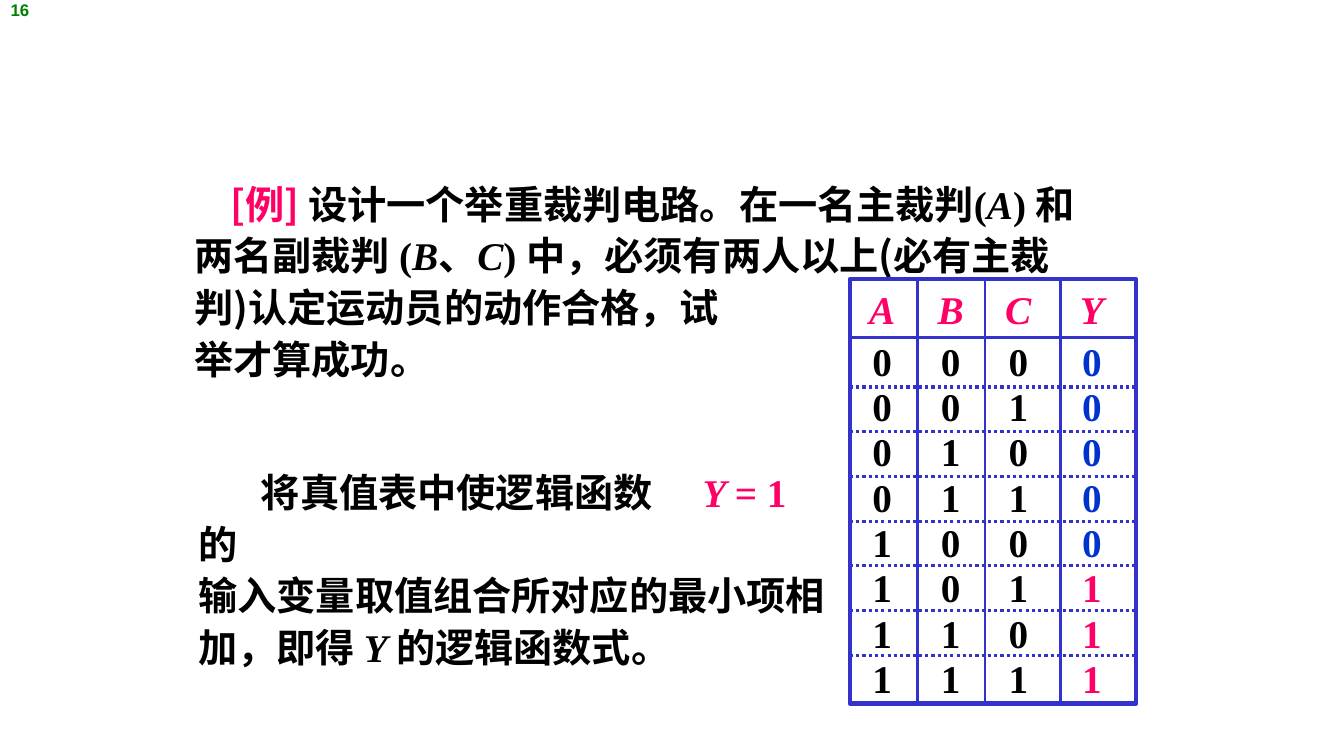
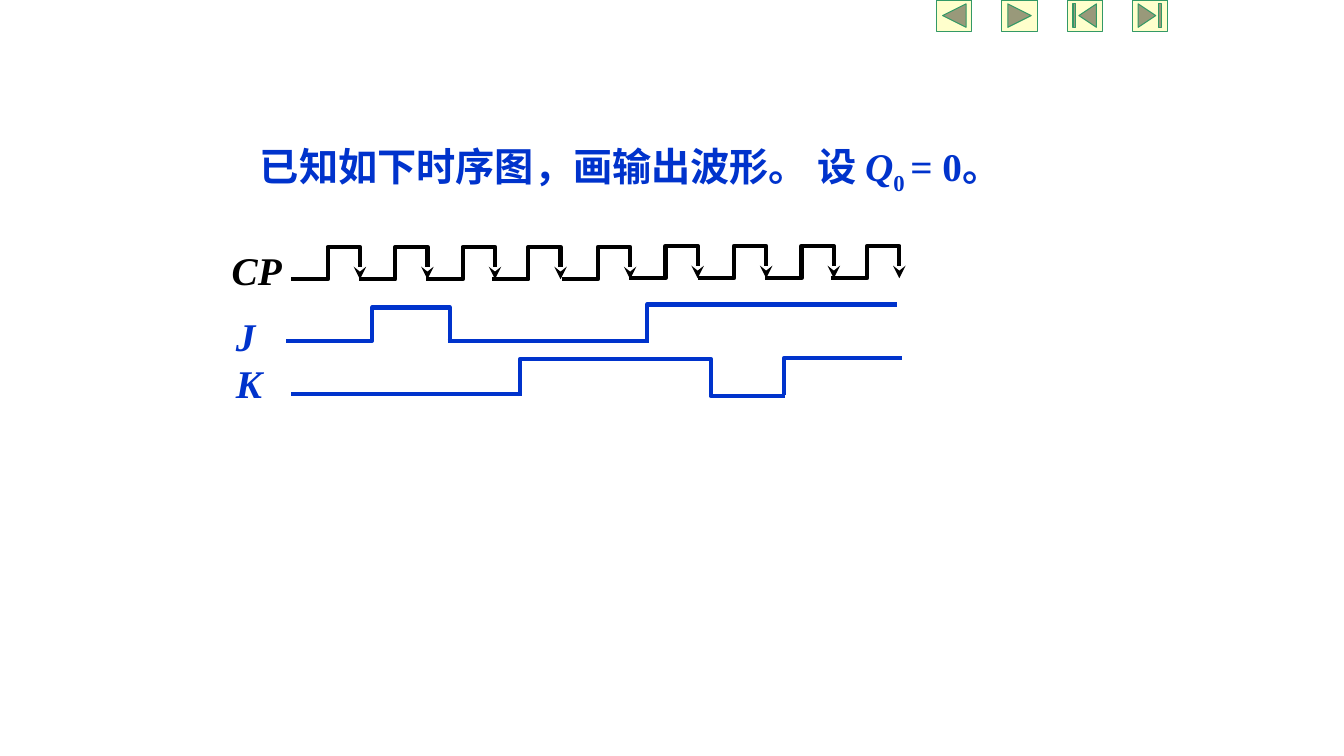
from itertools import product

from lxml import etree
from pptx import Presentation
from pptx.dml.color import RGBColor
from pptx.enum import dml, shapes, text
from pptx.oxml import ns
from pptx.util import Inches, Pt

INK = {"black": "000000", "pink": "FF0066", "blue": "0033CC", "grid": "3333CC",
       "green": "008000", "cream": "FFFFCC", "edge": "339966"}
SERIF, SANS, ARIAL = "Times New Roman", "Noto Sans CJK SC", "Arial"


def rgb(ink):
    return RGBColor.from_string(INK[ink])


def style(font, ink=None, name=None, size=None, bold=None, italic=None):
    """Set only the given properties, so that runs inherit the rest."""
    if ink:
        font.color.rgb = rgb(ink)
    if name:
        font.name = name
    if size:
        font.size = Pt(size)
    if bold is not None:
        font.bold = bold
    if italic is not None:
        font.italic = italic


def write(para, runs, ink="black", name=SERIF, size=28, italic=None):
    """Fill a paragraph; a run is a string or a (string, differences) pair."""
    for item in [runs] if isinstance(runs, str) else runs:
        words, diff = (item, {}) if isinstance(item, str) else item
        run = para.add_run()
        run.text = words
        diff = dict(diff)
        base = diff.pop("base", None)
        style(run.font, **diff)
        if base:
            run._r.get_or_add_rPr().set("baseline", str(base * 1000))
    style(para.font, ink, name, size, True, italic)


def put(slide, box, paras, pad=(0.1, 0.05), space=None, indent=0, tab=None,
        align=None, **look):
    """Add a text box; the indent and tab belong to its first paragraph."""
    frame = slide.shapes.add_textbox(*map(Inches, box)).text_frame
    frame.word_wrap = True
    frame.margin_left = frame.margin_right = Inches(pad[0])
    frame.margin_top = frame.margin_bottom = Inches(pad[1])
    for i, runs in enumerate(paras):
        para = frame.add_paragraph() if i else frame.paragraphs[0]
        para.line_spacing, para.alignment = space, align
        if i == 0 and indent:
            props = para._p.get_or_add_pPr()
            props.set("marL", "0")
            props.set("indent", str(Inches(indent)))
            if tab:
                tabs = etree.SubElement(props, ns.qn("a:tabLst"))
                etree.SubElement(tabs, ns.qn("a:tab"), pos=str(Inches(tab)), algn="l")
        write(para, runs, **look)


def stroke(shape, ink, width):
    shape.line.color.rgb = rgb(ink)
    shape.line.width = Pt(width)


def rule(slide, ends, ink, width, dots=False):
    """Straight line between two points."""
    line = slide.shapes.add_connector(shapes.MSO_CONNECTOR.STRAIGHT, *map(Inches, ends))
    stroke(line, ink, width)
    if dots:
        line.line.dash_style = dml.MSO_LINE.ROUND_DOT
    etree.SubElement(line._element.spPr, ns.qn("a:effectLst"))


def truth(slide, x, y, cols, head, row):
    """Truth table of Y = A(B + C)."""
    rows = [tuple("ABCY")]
    for a, b, c in product((0, 1), repeat=3):
        rows.append((a, b, c, a & (b | c)))
    highs = [head] + [row] * (len(rows) - 1)
    size = map(Inches, (x, y, sum(cols), sum(highs)))
    table = slide.shapes.add_table(len(rows), len(cols), *size).table
    table.first_row = table.horz_banding = False
    for col, width in zip(table.columns, cols):
        col.width = Inches(width)
    for line, high in zip(table.rows, highs):
        line.height = Inches(high)

    for r, values in enumerate(rows):
        for c, value in enumerate(values):
            cell = table.cell(r, c)
            cell.margin_left = cell.margin_right = 0
            cell.margin_top = cell.margin_bottom = 0
            cell.vertical_anchor = text.MSO_ANCHOR.MIDDLE
            cell.fill.background()
            ink = "black"
            if r == 0 or (c == 3 and value):
                ink = "pink"
            elif c == 3:
                ink = "blue"
            para = cell.text_frame.paragraphs[0]
            para.alignment = text.PP_ALIGN.CENTER
            para.line_spacing = 0.9
            write(para, str(value), ink, italic=r == 0)


def grid(slide, left, top, right, low):
    """Frame, column rules, header rule and dotted row rules."""
    box = map(Inches, (left, top, right - left, low - top))
    frame = slide.shapes.add_shape(shapes.MSO_SHAPE.RECTANGLE, *box)
    frame.shadow.inherit = False
    frame.fill.background()
    stroke(frame, "grid", 3)
    for x, width in ((9.1, 1.5), (9.77, 1.5), (10.52, 2.25)):
        rule(slide, (x, top, x, low), "grid", width)
    rule(slide, (left, 3.35, right, 3.35), "grid", 2.25)
    first, last = 3.84, 6.5
    for i in range(7):
        y = first + (last - first) / 6 * i
        rule(slide, (left, y, right, y), "grid", 2.25, dots=True)


def wave(slide, xs, ys, ink, arrow=False):
    """Step line at level ys[i] from xs[i] on; a last level ends in a drop."""
    points = []
    for i, y in enumerate(ys):
        points += [(Inches(x), Inches(y)) for x in xs[i:i + 2]]
    form = slide.shapes.build_freeform(*points[0])
    form.add_line_segments(points[1:], close=False)
    shape = form.convert_to_shape()
    shape.shadow.inherit = False
    shape.fill.background()
    stroke(shape, ink, 3)
    if arrow:
        etree.SubElement(shape.line._get_or_add_ln(), ns.qn("a:tailEnd"), type="stealth")


def button(slide, kind, x):
    shape = slide.shapes.add_shape(kind, *map(Inches, (x, 0, 0.35, 0.31)))
    shape.shadow.inherit = False
    shape.fill.solid()
    shape.fill.fore_color.rgb = rgb("cream")
    stroke(shape, "edge", 0.75)


def judge(slide):
    put(slide, (0, 0, 0.29, 0.2), ["16"], pad=(0, 0), align=text.PP_ALIGN.RIGHT,
        ink="green", name=ARIAL, size=12)
    sans, slant = {"name": SANS}, {"italic": True}
    pink = {"ink": "pink"}
    put(slide, (1.83, 1.69, 9, 2.16), [
        [("[", {**sans, **pink}), ("例", pink), ("] ", {**sans, **pink}),
         "设计一个举重裁判电路。在一名主裁判(", ("A", slant),
         ") 和两名副裁判 (", ("B", slant), "、", ("C", slant),
         ") 中，必须有两人以上", ("(", sans), "必有主裁判", (")", sans),
         "认定运动员的动作合格，试"],
        "举才算成功。"], space=1.1, indent=0.36)
    put(slide, (1.87, 4.55, 6.46, 1.64), [
        ["将真值表中使逻辑函数\t", ("Y ", {**pink, **slant}), ("= 1 ", pink), "的"],
        ["输入变量取值组合所对应的最小项相加，即得 ", ("Y ", slant), "的逻辑函数式。"]],
        space=1.1, indent=0.62, tab=4.55)
    truth(slide, 8.41, 2.81, (0.68, 0.68, 0.66, 0.8), 0.58, 0.45)
    grid(slide, 8.43, 2.77, 11.27, 6.98)


def timing(slide):
    put(slide, (2.48, 1.36, 9.62, 0.57), [
        ["已知如下时序图，画输出波形。 设 ", ("Q", {"italic": True}),
         ("0 ", {"base": -25}), "= 0。"]], ink="blue")

    starts = (2.89, 3.56, 4.23, 4.88, 5.57, 6.24, 6.92, 7.59, 8.24)
    for i, x in enumerate(starts):
        low = 2.77 if i < 5 else 2.76
        wave(slide, (x, x + 0.36, x + 0.68), (low, low - 0.32, low), "black", arrow=True)
    rule(slide, (6.27, 2.76, 6.59, 2.76), "black", 3)

    steps = (
        ((2.84, 3.69, 4.46), (3.38, 3.05, 3.38)),
        ((6.42, 6.42, 8.9), (3.4, 3.02)),
        ((5.16, 5.16, 7.05, 7.79), (3.93, 3.56, 3.93)),
        ((7.78, 7.78, 8.95), (3.92, 3.55)),
    )
    for xs, ys in steps:
        wave(slide, xs, ys, "blue")
    for x, end, y in ((4.44, 6.41, 3.38), (2.89, 5.17, 3.91)):
        rule(slide, (x, y, end, y), "blue", 3)

    put(slide, (2.2, 2.39, 0.8, 0.57), ["CP"], italic=True)
    put(slide, (2.24, 3.05, 0.59, 1.03), ["J", "K"], ink="blue", italic=True)
    kind = shapes.MSO_SHAPE
    kinds = (kind.ACTION_BUTTON_BACK_OR_PREVIOUS, kind.ACTION_BUTTON_FORWARD_OR_NEXT,
             kind.ACTION_BUTTON_BEGINNING, kind.ACTION_BUTTON_END)
    first, last = 9.29, 11.23
    for i, item in enumerate(kinds):
        button(slide, item, first + (last - first) / 3 * i)


def main():
    deck = Presentation()
    deck.slide_width, deck.slide_height = Inches(13.33), Inches(7.5)
    for draw in (judge, timing):
        draw(deck.slides.add_slide(deck.slide_layouts[6]))
    deck.save("out.pptx")


if __name__ == "__main__":
    main()
